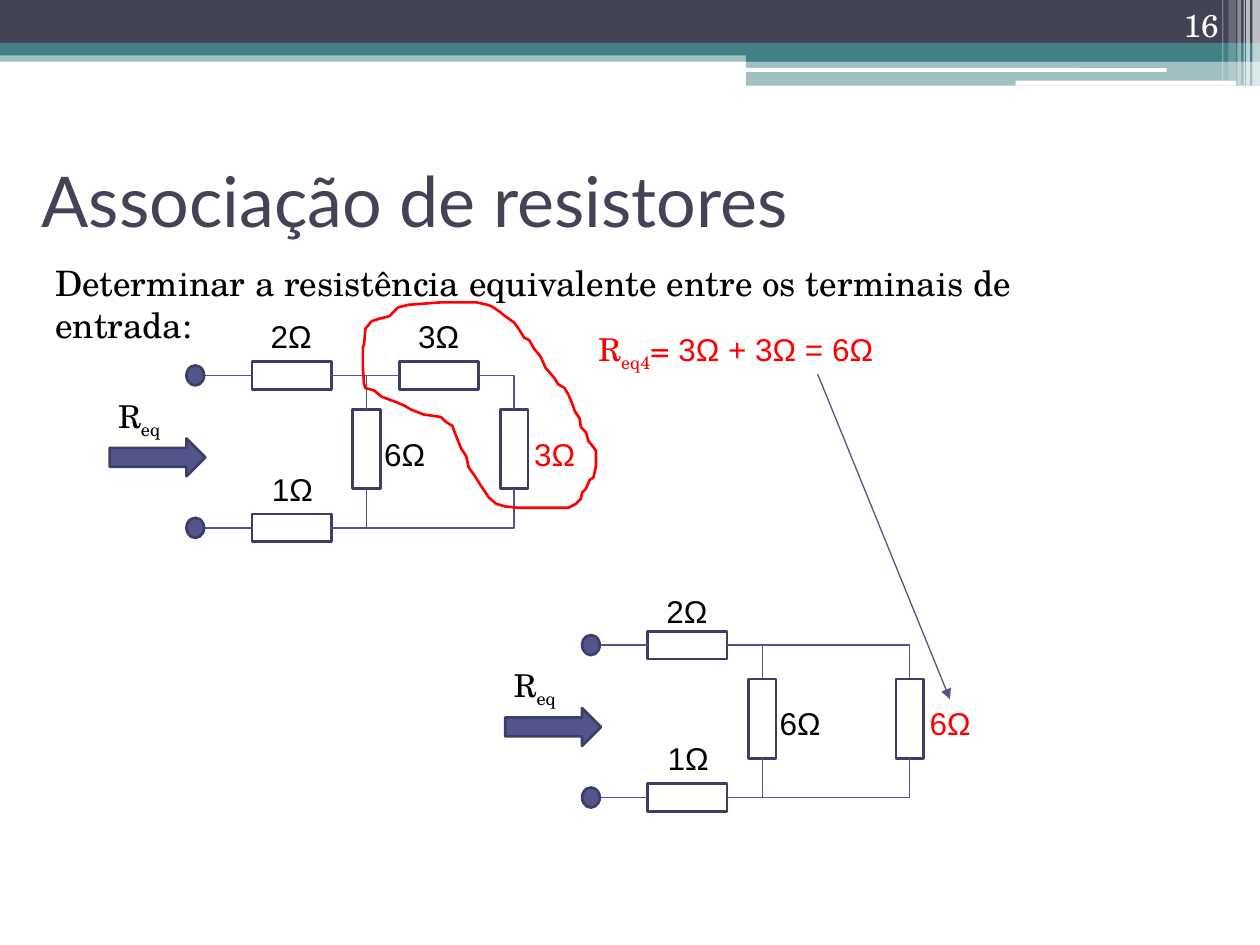
from dataclasses import dataclass

from lxml.etree import SubElement
from pptx import Presentation
from pptx.dml.color import RGBColor
from pptx.enum.shapes import MSO_CONNECTOR, MSO_SHAPE
from pptx.enum.text import MSO_ANCHOR, PP_ALIGN
from pptx.oxml.ns import qn
from pptx.util import Inches, Pt


@dataclass(frozen=True)
class Theme:
    navy: str = "424456"
    teal: str = "438086"
    white: str = "FFFFFF"
    black: str = "000000"
    red: str = "FF0000"
    wire: str = "53548A"
    outline: str = "3D3E66"
    title_font: str = "Lato"
    text_font: str = "TeX Gyre Schola"
    value_font: str = "Arial"
    title_size: int = 40
    body_size: int = 20
    label_size: int = 18
    wire_width: float = 0.75
    outline_width: float = 1.5


THEME = Theme()
LASSO = [
    (3.09, 2.51), (3.01, 2.53), (2.95, 2.55), (2.90, 2.61), (2.89, 2.73),
    (2.88, 2.76), (2.88, 2.92), (2.89, 3.05), (2.90, 3.08), (2.97, 3.10),
    (3.03, 3.15), (3.14, 3.19), (3.21, 3.22), (3.26, 3.25), (3.36, 3.29),
    (3.50, 3.31), (3.54, 3.35), (3.59, 3.38), (3.62, 3.46), (3.66, 3.56),
    (3.70, 3.62), (3.72, 3.71), (3.77, 3.78), (3.82, 3.86), (3.88, 3.95),
    (3.94, 4.00), (4.01, 4.02), (4.11, 4.03), (4.51, 4.03), (4.57, 4.00),
    (4.61, 3.96), (4.62, 3.91), (4.65, 3.88), (4.68, 3.81), (4.71, 3.79),
    (4.73, 3.70), (4.73, 3.58), (4.71, 3.55), (4.67, 3.50), (4.65, 3.43),
    (4.61, 3.39), (4.60, 3.32), (4.56, 3.26), (4.54, 3.20), (4.51, 3.13),
    (4.48, 3.08), (4.43, 3.05), (4.40, 3.00), (4.33, 2.92), (4.29, 2.83),
    (4.24, 2.77), (4.20, 2.70), (4.16, 2.68), (4.11, 2.60), (4.08, 2.56),
    (4.01, 2.51), (3.96, 2.47), (3.90, 2.43), (3.87, 2.42), (3.78, 2.40),
    (3.50, 2.40), (3.24, 2.42), (3.16, 2.44),
]


def color(code):
    return RGBColor.from_string(code)


def paint(shape, fill=None, line=None, alpha=100):
    shape.shadow.inherit = False
    if fill:
        shape.fill.solid()
        shape.fill.fore_color.rgb = color(fill)
        if alpha < 100:
            rgb = shape._element.spPr.find(f"{qn('a:solidFill')}/{qn('a:srgbClr')}")
            SubElement(rgb, qn("a:alpha"), val=str(alpha * 1000))
    else:
        shape.fill.background()
    if line:
        shape.line.color.rgb = color(line)
        shape.line.width = Pt(THEME.outline_width)
    else:
        shape.line.fill.background()


def add_figure(slide, kind, left, top, width, height, **look):
    figure = slide.shapes.add_shape(
        kind, Inches(left), Inches(top), Inches(width), Inches(height))
    paint(figure, **look)
    return figure


def format_run(run, size, font, ink):
    run.font.size = Pt(size)
    run.font.name = font
    run.font.color.rgb = color(ink)


def add_text(slide, box, parts, ink=THEME.black, size=THEME.label_size, wrap=False):
    label = slide.shapes.add_textbox(*map(Inches, box))
    label.text_frame.word_wrap = wrap
    for text, font, baseline in parts:
        run = label.text_frame.paragraphs[0].add_run()
        run.text = text
        format_run(run, size, font, ink)
        if baseline:
            run._r.get_or_add_rPr().set("baseline", str(baseline * 1000))
    return label


def add_value(slide, left, top, text, ink=THEME.black):
    add_text(slide, (left, top, 0.53, 0.4), [(text, THEME.value_font, 0)], ink)


def add_wire(slide, start, end, begin=None, finish=None, bent=False):
    kind = MSO_CONNECTOR.ELBOW if bent else MSO_CONNECTOR.STRAIGHT
    wire = slide.shapes.add_connector(kind, *map(Inches, (*start, *end)))
    if bent:
        wire._element.spPr.find(qn("a:prstGeom")).set("prst", "bentConnector2")
    if begin:
        wire.begin_connect(*begin)
    if finish:
        wire.end_connect(*finish)
    wire.line.color.rgb = color(THEME.wire)
    wire.line.width = Pt(THEME.wire_width)
    SubElement(wire._element.spPr, qn("a:effectLst"))
    return wire


def add_resistor(slide, left, top, upright=False):
    width, height = (0.22, 0.63) if upright else (0.63, 0.22)
    return add_figure(slide, MSO_SHAPE.RECTANGLE, left, top, width, height,
                      line=THEME.outline)


def draw_header(slide, width):
    bands = [
        (0, 0.4, width, 0.09, THEME.teal, 50),
        (0, 0, width, 0.34, THEME.navy, 100),
        (0, 0.34, width, 0.1, THEME.teal, 100),
        (5.92, 0.39, width - 5.92, 0.1, THEME.teal, 100),
        (5.92, 0.48, width - 5.92, 0.2, THEME.teal, 50),
    ]
    rules = [(5.91, 0.54, 3.35, 0.03), (8.06, 0.64, 1.75, 0.04)]
    stripes = [(9.94, 0.06, 0.68, 65), (9.89, 0.03, 0.68, 65), (9.87, 0.01, 0.68, 60),
               (9.82, 0.03, 0.68, 40), (9.75, 0.06, 0.64, 20), (9.7, 0.01, 0.64, 30)]
    for *box, fill, alpha in bands:
        add_figure(slide, MSO_SHAPE.RECTANGLE, *box, fill=fill, alpha=alpha)
    for box in rules:
        add_figure(slide, MSO_SHAPE.ROUNDED_RECTANGLE, *box, fill=THEME.white)
    for left, stripe_width, height, alpha in stripes:
        add_figure(slide, MSO_SHAPE.RECTANGLE, left, 0, stripe_width, height,
                   fill=THEME.white, alpha=alpha)
    number = add_text(slide, (8.94, 0, 0.83, 0.4), [("16", THEME.text_font, 0)],
                      THEME.white, wrap=True)
    number.text_frame.vertical_anchor = MSO_ANCHOR.BOTTOM
    number.text_frame.paragraphs[0].alignment = PP_ALIGN.RIGHT


def draw_title(slide, left, top, width, height):
    title = slide.shapes.title
    title.left, title.top, title.width, title.height = map(
        Inches, (left, top, width, height))
    title.text_frame.text = "Associação de resistores"
    title.text_frame.vertical_anchor = MSO_ANCHOR.MIDDLE
    paragraph = title.text_frame.paragraphs[0]
    paragraph.alignment = PP_ALIGN.LEFT
    format_run(paragraph.runs[0], THEME.title_size, THEME.title_font, THEME.navy)


def draw_circuit(slide, left, top, load_value, series_value=None, label_drop=0):
    def at(x, y):
        return left + x, top + y

    upper = add_resistor(slide, *at(1.16, 0.4))
    lower = add_resistor(slide, *at(1.16, 1.61))
    shunt = add_resistor(slide, *at(1.96, 0.78), upright=True)
    load = add_resistor(slide, *at(3.13, 0.78), upright=True)

    source = upper
    if series_value:
        source = add_resistor(slide, *at(2.33, 0.4))
        add_wire(slide, at(1.79, 0.51), at(2.33, 0.51), (upper, 3), (source, 1))
        add_value(slide, *at(2.38, 0), series_value)
    add_wire(slide, at(1.79, 0.51), at(3.24, 0.78), (source, 3), (load, 0), bent=True)
    add_wire(slide, at(2.07, 0.78), at(2.07, 0.51), begin=(shunt, 0))
    for branch in (shunt, load):
        add_wire(slide, at(1.79, 1.72), at(2.07, 1.41), (lower, 3), (branch, 2), bent=True)

    for resistor, y in ((upper, 0.51), (lower, 1.72)):
        add_wire(slide, at(0.75, y), at(1.16, y), finish=(resistor, 1))
        add_figure(slide, MSO_SHAPE.OVAL, *at(0.64, y - 0.08), 0.14, 0.16,
                   fill=THEME.wire, line=THEME.outline)

    add_figure(slide, MSO_SHAPE.RIGHT_ARROW, *at(0.03, 1.01), 0.76, 0.3,
               fill=THEME.wire, line=THEME.outline)
    add_text(slide, (*at(0, 0.63), 0.55, 0.4),
             [("R", THEME.text_font, 0), ("eq", THEME.text_font, -25)])
    add_value(slide, *at(1.21, label_drop), "2Ω")
    add_value(slide, *at(1.22, 1.21), "1Ω")
    add_value(slide, *at(2.11, 0.93), "6Ω")
    add_value(slide, *at(3.3, 0.93), load_value, THEME.red)


def draw_reduction(slide, left, top):
    add_text(slide, (left, top, 2.51, 0.4),
             [("R", THEME.text_font, 0), ("eq4", THEME.text_font, -25),
              ("= ", THEME.text_font, 0), ("3Ω + 3Ω = 6Ω", THEME.value_font, 0)],
             THEME.red)
    pointer = add_wire(slide, (left + 1.84, top + 0.4), (left + 2.89, top + 2.98))
    SubElement(pointer.line._get_or_add_ln(), qn("a:tailEnd"), type="triangle")


def draw_lasso(slide):
    points = [(Inches(x), Inches(y)) for x, y in LASSO]
    builder = slide.shapes.build_freeform(*points[0])
    builder.add_line_segments(points[1:], close=True)
    paint(builder.convert_to_shape(), line=THEME.red)


def main():
    presentation = Presentation()
    presentation.slide_width, presentation.slide_height = Inches(10), Inches(7.5)
    slide = presentation.slides.add_slide(presentation.slide_layouts[5])
    draw_header(slide, 10)
    draw_title(slide, 0.23, 1.04, 8.62, 1.09)
    question = "Determinar a resistência equivalente entre os terminais de entrada:"
    add_text(slide, (0.34, 2.03, 8.54, 0.44), [(question, THEME.text_font, 0)],
             size=THEME.body_size, wrap=True)
    draw_circuit(slide, 0.84, 2.47, "3Ω", series_value="3Ω")
    draw_lasso(slide)
    draw_circuit(slide, 3.98, 4.61, "6Ω", label_drop=0.04)
    draw_reduction(slide, 4.65, 2.57)
    presentation.save("out.pptx")


if __name__ == "__main__":
    main()
